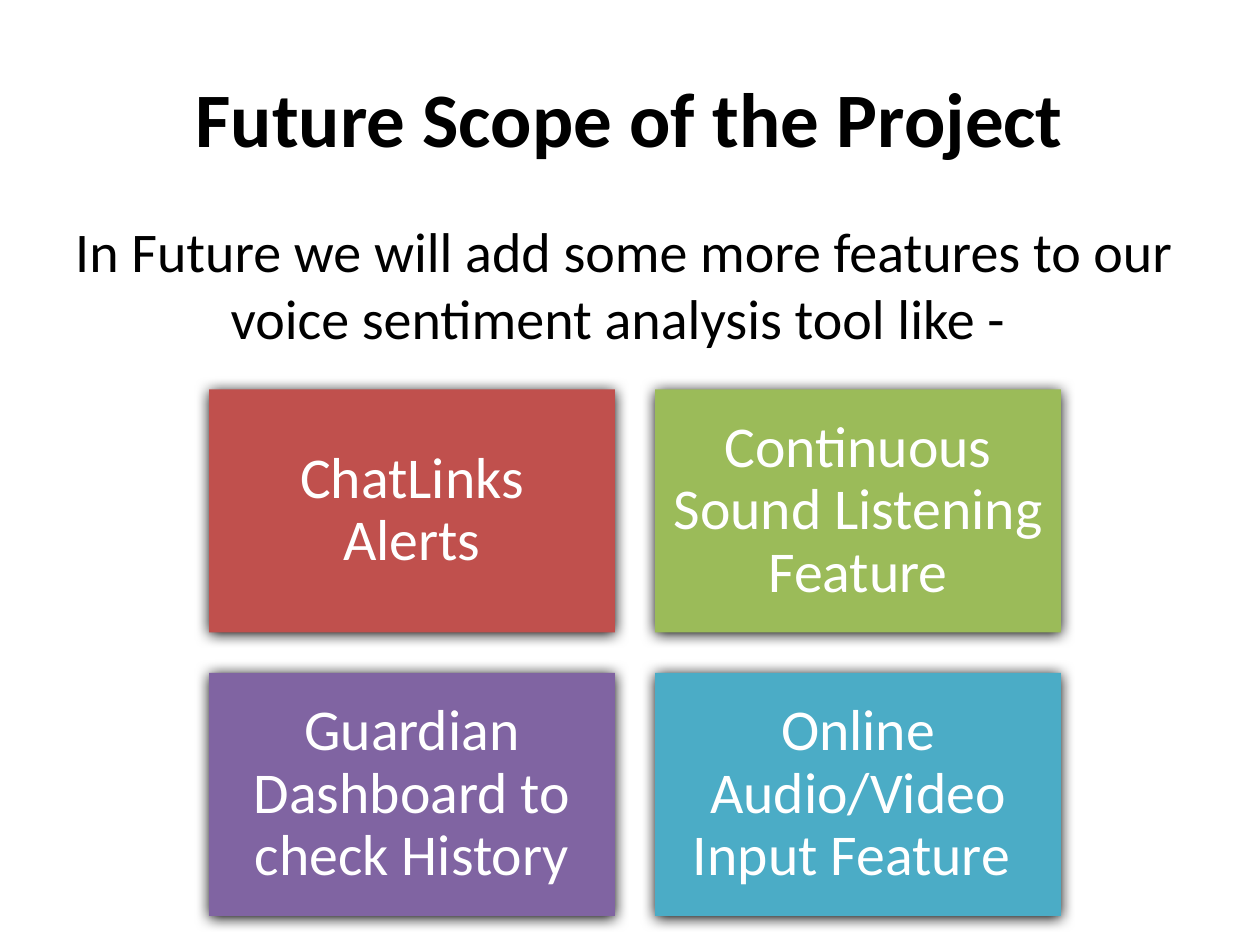
"""Build the future scope slide with a grid of planned features."""
from lxml import etree
from pptx import Presentation
from pptx.dml.color import RGBColor
from pptx.enum import shapes, text
from pptx.oxml import ns
from pptx.util import Inches, Pt

BLACK = RGBColor(0x00, 0x00, 0x00)
WHITE = RGBColor(0xFF, 0xFF, 0xFF)
RED = RGBColor(0xC0, 0x50, 0x4D)
GREEN = RGBColor(0x9B, 0xBB, 0x59)
PURPLE = RGBColor(0x80, 0x64, 0xA2)
TEAL = RGBColor(0x4B, 0xAC, 0xC6)

TITLE = "Future Scope of the Project"
INTRO = "In Future we will add some more features to our voice sentiment analysis tool like - "
FEATURES = [
    ("ChatLinks Alerts", RED),
    ("Continuous Sound Listening Feature", GREEN),
    ("Guardian Dashboard to check History", PURPLE),
    ("Online Audio/Video Input Feature ", TEAL),
]

FONT = "Calibri"
COLUMNS = 2
GRID_LEFT, GRID_TOP = 1.66, 3.09
CARD_WIDTH, CARD_HEIGHT, GAP = 3.22, 1.93, 0.32
CARD_INSET = Inches(0.14)


def write(shape, content, size, color, anchor, bold=False):
    frame = shape.text_frame
    frame.word_wrap = True
    frame.vertical_anchor = anchor
    paragraph = frame.paragraphs[0]
    paragraph.text = content
    paragraph.alignment = text.PP_ALIGN.CENTER
    font = paragraph.font
    font.name, font.size, font.bold = FONT, Pt(size), bold
    font.color.rgb = color
    return frame


def add_shadow(shape):
    shape.shadow.inherit = False
    effects = shape._element.spPr.find(ns.qn("a:effectLst"))
    shadow = etree.SubElement(
        effects, ns.qn("a:outerShdw"), blurRad=str(Pt(8.5)), dist=str(Pt(1)),
        dir="5400000", algn="tl", rotWithShape="0")
    etree.SubElement(shadow, ns.qn("a:srgbClr"), val=str(BLACK))


def add_card(slide, index, label, color):
    row, column = divmod(index, COLUMNS)
    card = slide.shapes.add_shape(
        shapes.MSO_SHAPE.RECTANGLE,
        Inches(GRID_LEFT + column * (CARD_WIDTH + GAP)),
        Inches(GRID_TOP + row * (CARD_HEIGHT + GAP)),
        Inches(CARD_WIDTH), Inches(CARD_HEIGHT))
    card.fill.solid()
    card.fill.fore_color.rgb = color
    card.line.fill.background()
    add_shadow(card)
    frame = write(card, label, 33, WHITE, text.MSO_ANCHOR.MIDDLE)
    frame.margin_left = frame.margin_right = CARD_INSET
    frame.margin_top = frame.margin_bottom = CARD_INSET
    frame.paragraphs[0].line_spacing = 0.9


def main():
    presentation = Presentation()
    presentation.slide_width, presentation.slide_height = Inches(10), Inches(7.5)
    slide = presentation.slides.add_slide(presentation.slide_layouts[6])
    title = slide.shapes.add_textbox(Inches(0.5), Inches(0.3), Inches(9), Inches(1.25))
    write(title, TITLE, 44, BLACK, text.MSO_ANCHOR.MIDDLE, bold=True)
    intro = slide.shapes.add_textbox(Inches(0.33), Inches(1.67), Inches(9.25), Inches(2.08))
    write(intro, INTRO, 32, BLACK, text.MSO_ANCHOR.TOP)
    for index, (label, color) in enumerate(FEATURES):
        add_card(slide, index, label, color)
    presentation.save("out.pptx")


if __name__ == "__main__":
    main()
